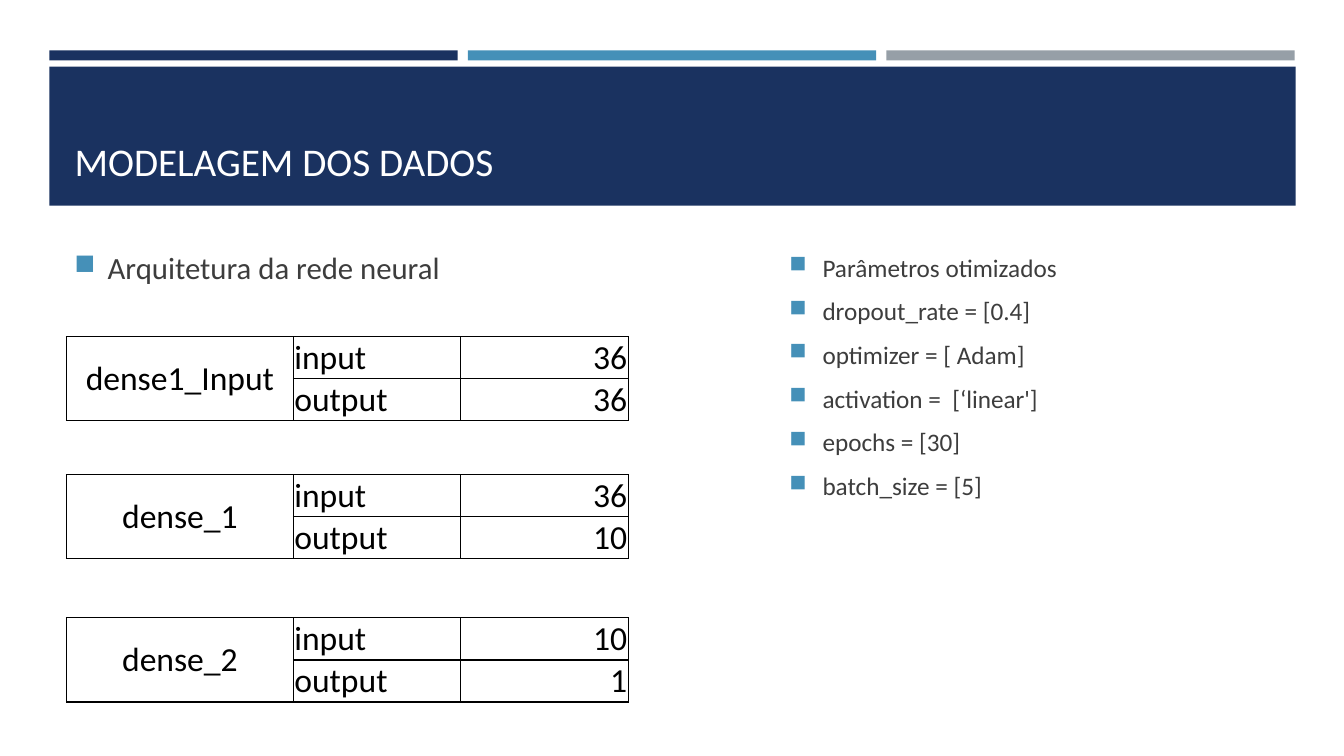
from lxml import etree
from pptx import Presentation
from pptx.dml.color import RGBColor
from pptx.enum.shapes import MSO_SHAPE
from pptx.enum.text import MSO_ANCHOR, MSO_AUTO_SIZE, PP_ALIGN
from pptx.oxml import parse_xml
from pptx.oxml.ns import nsdecls, qn
from pptx.util import Pt

PX = 9144  # 100 px to the inch
FONT = "Calibri"
RECTANGLE = MSO_SHAPE.RECTANGLE
TOP, MIDDLE, BOTTOM = MSO_ANCHOR.TOP, MSO_ANCHOR.MIDDLE, MSO_ANCHOR.BOTTOM
LEFT, CENTER, RIGHT = PP_ALIGN.LEFT, PP_ALIGN.CENTER, PP_ALIGN.RIGHT
NO_AUTOFIT = MSO_AUTO_SIZE.NONE
COLORS = {
    "navy": "1A3260",
    "blue": "4590B8",
    "gray": "969FA7",
    "text": "3D3D3D",
    "black": "000000",
    "white": "FFFFFF",
}


def style_paragraph(para, size, color, align=LEFT):
    para.alignment = align
    para.font.name = FONT
    para.font.size = Pt(size)
    para.font.color.rgb = RGBColor.from_string(COLORS[color])


def add_bullets(page, lines, left, top, width, height, size, anchor):
    box = page.shapes.add_textbox(left * PX, top * PX, width * PX, height * PX)
    frame = box.text_frame
    frame.word_wrap = True
    frame.vertical_anchor = anchor
    frame.text = "\n".join(lines)
    for para in frame.paragraphs:
        style_paragraph(para, size, "text")
        para.space_before = Pt(size * 0.2)
        para.space_after = Pt(6)
        properties = para._p.get_or_add_pPr()
        properties.set("marL", str(33 * PX))
        properties.set("indent", str(-33 * PX))
        bullet_color = etree.SubElement(properties, qn("a:buClr"))
        etree.SubElement(bullet_color, qn("a:srgbClr"), val=COLORS["blue"])
        etree.SubElement(properties, qn("a:buSzPct"), val="92000")
        etree.SubElement(properties, qn("a:buChar"), char="■")


deck = Presentation()
deck.slide_width, deck.slide_height = 1333 * PX, 750 * PX
page = deck.slides.add_slide(deck.slide_layouts[5])

# Header: three stripes above the title band
header_bars = [
    (49, 50, 405, 10, "navy"),
    (464, 50, 405, 10, "blue"),
    (879, 50, 405, 10, "gray"),
    (49, 66, 1236, 138, "navy"),
]
for left, top, width, height, color in header_bars:
    bar = page.shapes.add_shape(RECTANGLE, left * PX, top * PX, width * PX, height * PX)
    bar.shadow.inherit = False
    bar.fill.solid()
    bar.fill.fore_color.rgb = RGBColor.from_string(COLORS[color])
    bar.line.fill.background()

title = page.shapes.title
title.left, title.top, title.width, title.height = 64 * PX, 80 * PX, 1206 * PX, 108 * PX
title.text_frame.text = "MODELAGEM DOS DADOS"
title.text_frame.vertical_anchor = BOTTOM
title.text_frame.auto_size = NO_AUTOFIT
style_paragraph(title.text_frame.paragraphs[0], 28, "white")
page.shapes._spTree.append(title._element)  # bring the title in front of its band

# Network layers: one table each
layers = [
    ("dense1_Input", 334, "36", "36"),
    ("dense_1", 471, "36", "10"),
    ("dense_2", 613, "10", "1"),
]
column_widths = [225, 166, 166]
column_aligns = [CENTER, LEFT, RIGHT]
row_height = 41
for name, top, input_size, output_size in layers:
    table = page.shapes.add_table(
        2, 3, 66 * PX, top * PX, sum(column_widths) * PX, 2 * row_height * PX
    ).table
    table.first_row = table.horz_banding = False
    for column, width in zip(table.columns, column_widths):
        column.width = width * PX
    rows = [(name, "input", input_size), ("", "output", output_size)]
    for row_index, row in enumerate(rows):
        table.rows[row_index].height = row_height * PX
        for column_index, text in enumerate(row):
            cell = table.cell(row_index, column_index)
            cell.text = text
            cell.vertical_anchor = MIDDLE
            cell.margin_left = cell.margin_right = cell.margin_top = PX
            cell.margin_bottom = 0
            style_paragraph(cell.text_frame.paragraphs[0], 24, "black", column_aligns[column_index])
            cell_properties = cell._tc.get_or_add_tcPr()
            for side in ("lnL", "lnR", "lnT", "lnB"):
                cell_properties.append(parse_xml(
                    f'<a:{side} {nsdecls("a")} w="{Pt(1)}"><a:solidFill>'
                    f'<a:srgbClr val="{COLORS["black"]}"/></a:solidFill></a:{side}>'
                ))
            cell.fill.solid()
            cell.fill.fore_color.rgb = RGBColor.from_string(COLORS["white"])
    table.cell(0, 0).merge(table.cell(1, 0))

parameters = [
    "Parâmetros otimizados",
    "dropout_rate = [0.4]",
    "optimizer = [ Adam]",
    "activation =  [‘linear']",
    "epochs = [30]",
    "batch_size = [5]",
]
add_bullets(page, parameters, 773, 245, 593, 397, 18, TOP)
add_bullets(page, ["Arquitetura da rede neural"], 64, 229, 593, 73, 22, MIDDLE)

deck.save("out.pptx")
